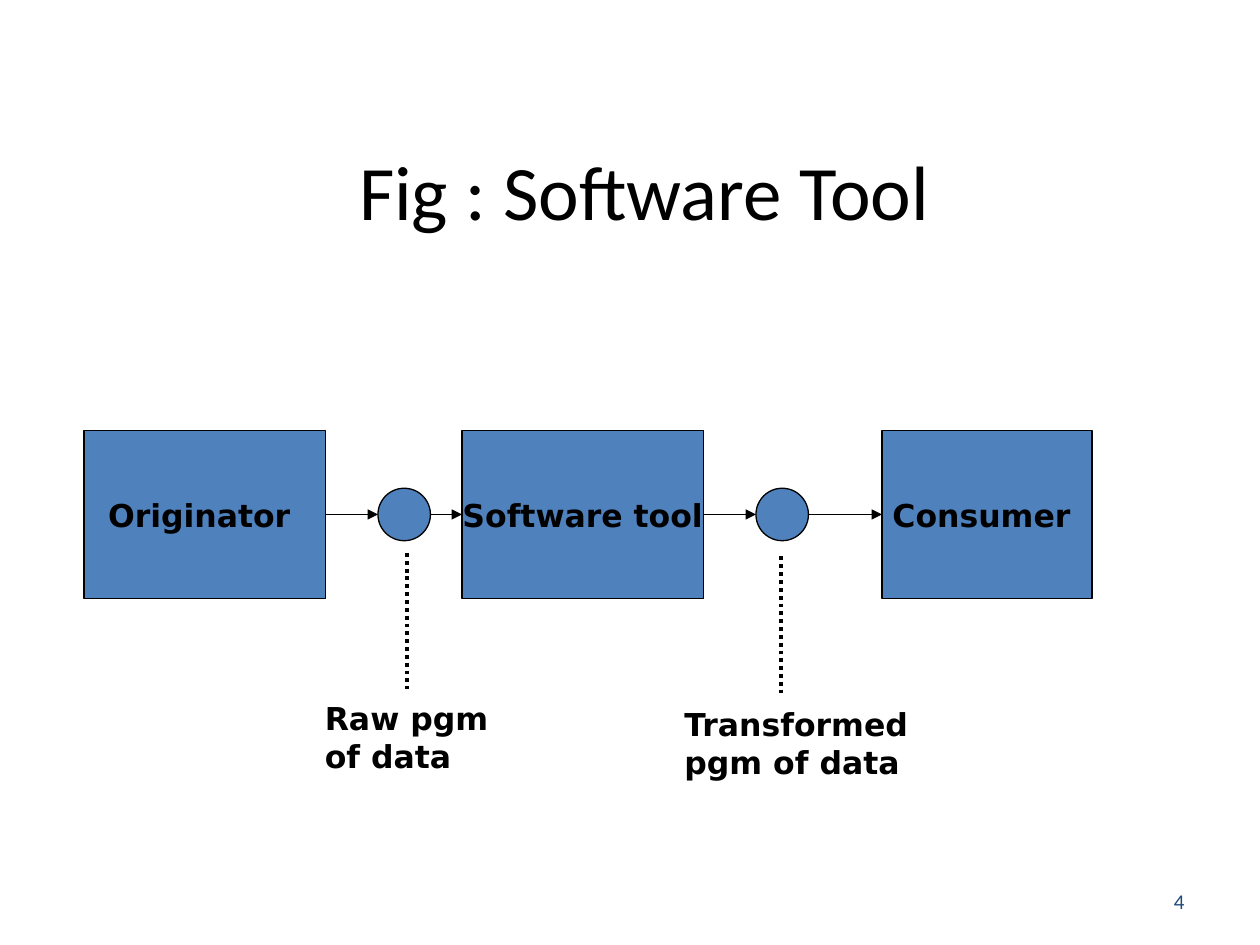
from dataclasses import dataclass

from lxml.etree import SubElement
from pptx import Presentation
from pptx.dml.color import RGBColor
from pptx.enum.dml import MSO_LINE
from pptx.enum.shapes import MSO_CONNECTOR, MSO_SHAPE
from pptx.enum.text import MSO_ANCHOR, PP_ALIGN
from pptx.oxml.ns import qn
from pptx.util import Pt


@dataclass(frozen=True)
class Theme:
    ink: RGBColor = RGBColor(0, 0, 0)
    fill: RGBColor = RGBColor(0x4F, 0x81, 0xBD)
    number: RGBColor = RGBColor(0x1F, 0x49, 0x7D)
    heading_font: str = "Calibri"
    diagram_font: str = "DejaVu Sans"
    title_size: int = 44
    label_size: int = 18
    number_size: int = 12
    outline: float = 0.75
    dotted: float = 2.25


THEME = Theme()
BOX_TOP, BOX_HEIGHT = 246, 96
FLOW_Y = BOX_TOP + BOX_HEIGHT / 2
CIRCLE_SIZE = 30
LEFT_SIDE, RIGHT_SIDE = 1, 3


def write_text(shape, text, font=THEME.diagram_font, size=THEME.label_size,
               color=THEME.ink, bold=False, align=PP_ALIGN.LEFT,
               anchor=MSO_ANCHOR.TOP, wrap=True):
    frame = shape.text_frame
    frame.word_wrap = wrap
    frame.vertical_anchor = anchor
    paragraph = frame.paragraphs[0]
    paragraph.alignment = align
    run = paragraph.add_run()
    run.text = text
    run.font.name = font
    run.font.size = Pt(size)
    run.font.bold = bold
    run.font.color.rgb = color


def add_text_box(slide, left, top, width, height, text, **text_format):
    box = slide.shapes.add_textbox(Pt(left), Pt(top), Pt(width), Pt(height))
    write_text(box, text, **text_format)


def add_node(slide, kind, left, top, width, height):
    node = slide.shapes.add_shape(kind, Pt(left), Pt(top), Pt(width), Pt(height))
    node.shadow.inherit = False
    node.fill.solid()
    node.fill.fore_color.rgb = THEME.fill
    node.line.color.rgb = THEME.ink
    node.line.width = Pt(THEME.outline)
    return node


def add_process(slide, left, width, text):
    process = add_node(slide, MSO_SHAPE.RECTANGLE, left, BOX_TOP, width, BOX_HEIGHT)
    write_text(process, text, bold=True, align=PP_ALIGN.CENTER,
               anchor=MSO_ANCHOR.MIDDLE, wrap=False)
    return process


def add_data_circle(slide, left):
    return add_node(slide, MSO_SHAPE.OVAL, left, FLOW_Y - CIRCLE_SIZE / 2,
                    CIRCLE_SIZE, CIRCLE_SIZE)


def add_line(slide, start, end, width):
    line = slide.shapes.add_connector(
        MSO_CONNECTOR.STRAIGHT, *(Pt(value) for value in (*start, *end)))
    line.line.color.rgb = THEME.ink
    line.line.width = Pt(width)
    SubElement(line._element.spPr, qn("a:effectLst"))
    return line


def add_arrow(slide, start_x, end_x):
    arrow = add_line(slide, (start_x, FLOW_Y), (end_x, FLOW_Y), THEME.outline)
    SubElement(arrow.line._get_or_add_ln(), qn("a:tailEnd"), type="triangle")
    return arrow


def add_flow(slide, source, circle, target):
    """Link two processes through the data circle between them."""
    circle_left = circle.left.pt
    incoming = add_arrow(slide, (source.left + source.width) / Pt(1), circle_left)
    incoming.begin_connect(source, RIGHT_SIDE)
    outgoing = add_arrow(slide, circle_left + CIRCLE_SIZE, target.left.pt)
    outgoing.end_connect(target, LEFT_SIDE)


def add_dotted_line(slide, x, top):
    line = add_line(slide, (x, top), (x, top + 78), THEME.dotted)
    line.line.dash_style = MSO_LINE.ROUND_DOT


def add_title(slide, text):
    title = slide.shapes.title
    title.left, title.top, title.width, title.height = (
        Pt(value) for value in (62, 73.5, 612.5, 70))
    write_text(title, text, font=THEME.heading_font, size=THEME.title_size,
               align=PP_ALIGN.CENTER, anchor=MSO_ANCHOR.MIDDLE)


def main():
    presentation = Presentation()
    presentation.slide_width, presentation.slide_height = Pt(720), Pt(540)
    slide = presentation.slides.add_slide(presentation.slide_layouts[5])

    add_title(slide, "Fig : Software Tool")
    add_text_box(slide, 516, 500.5, 168, 28.75, "4", font=THEME.heading_font,
                 size=THEME.number_size, color=THEME.number,
                 align=PP_ALIGN.RIGHT, anchor=MSO_ANCHOR.MIDDLE)

    originator = add_process(slide, 48, 138, "Originator ")
    tool = add_process(slide, 264, 138, "Software tool")
    consumer = add_process(slide, 504, 120, "Consumer ")
    raw_data = add_data_circle(slide, 216)
    transformed_data = add_data_circle(slide, 432)
    add_flow(slide, originator, raw_data, tool)
    add_flow(slide, tool, transformed_data, consumer)

    add_dotted_line(slide, 232.5, 316)
    add_dotted_line(slide, 446.5, 318)
    add_text_box(slide, 178.5, 396, 121, 50.5, "Raw pgm of data", bold=True)
    add_text_box(slide, 384, 399.5, 150, 50.5, "Transformed pgm of data", bold=True)

    presentation.save("out.pptx")


if __name__ == "__main__":
    main()
